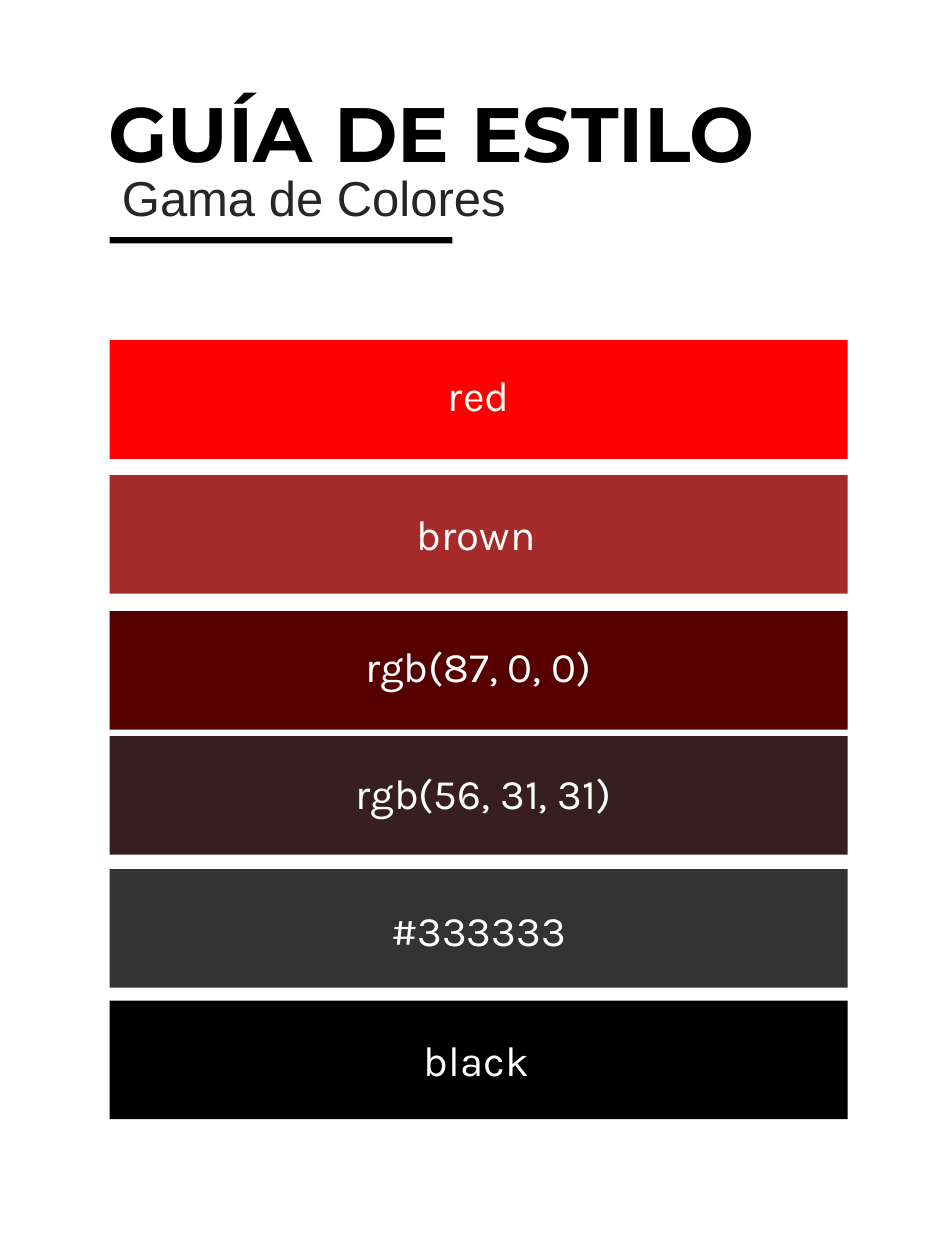
from pptx import Presentation
from pptx.dml.color import RGBColor
from pptx.enum.shapes import MSO_SHAPE
from pptx.enum.text import MSO_AUTO_SIZE, PP_ALIGN
from pptx.util import Cm, Pt

RECT = MSO_SHAPE.RECTANGLE
GROW = MSO_AUTO_SIZE.SHAPE_TO_FIT_TEXT
LEFT = PP_ALIGN.LEFT
MID = PP_ALIGN.CENTER


def paint(part, tone):
    if hasattr(part, "solid"):
        part.solid()
        part.fore_color.rgb = RGBColor.from_string(tone)
    else:
        part.color.rgb = RGBColor.from_string(tone)


def write(text, x, y, w, h, font="Karla", size=24, tone="FFFFFF", bold=False, align=MID):
    box = slide.shapes.add_textbox(Cm(x), Cm(y), Cm(w), Cm(h))
    frame = box.text_frame
    frame.word_wrap = True
    frame.auto_size = GROW
    par = frame.paragraphs[0]
    par.alignment = align
    run = par.add_run()
    run.text = text
    run.font.name = font
    run.font.size = Pt(size)
    run.font.bold = bold
    paint(run.font, tone)


deck = Presentation()
deck.slide_width = Cm(19.05)
deck.slide_height = Cm(25.4)
slide = deck.slides.add_slide(deck.slide_layouts[6])
paint(slide.background.fill, "FFFFFF")

write("GUÍA DE ESTILO", 1.93, 1.6, 15.44, 2.13, font="Montserrat", size=44,
      tone="000000", bold=True, align=LEFT)
write("Gama de Colores", 2.21, 3.25, 12.47, 1.45, font="Arial", size=28,
      tone="262626", align=LEFT)

edge = 2.21
wide = 14.88
tall = 2.39
swatches = [
    ("red", "FF0000", 6.86, 5.84, 7.32),
    ("brown", "A52A2A", 9.58, 5.79, 10.13),
    ("rgb(87, 0, 0)", "570000", 12.32, 5.84, 12.78),
    ("rgb(56, 31, 31)", "381F1F", 14.84, 5.94, 15.34),
    ("#333333", "333333", 17.52, 5.84, 18.11),
    ("black", "000000", 20.17, 5.79, 20.73),
]
bars = [("000000", 4.78, 6.91, 0.13)]
bars += [(tone, top, wide, tall) for name, tone, top, x, y in swatches]

for tone, top, w, h in bars:
    bar = slide.shapes.add_shape(RECT, Cm(edge), Cm(top), Cm(w), Cm(h))
    bar.shadow.inherit = False
    paint(bar.fill, tone)
    bar.line.fill.background()

for name, tone, top, x, y in swatches:
    write(name, x, y, 7.62, 1.27)

deck.save("out.pptx")
